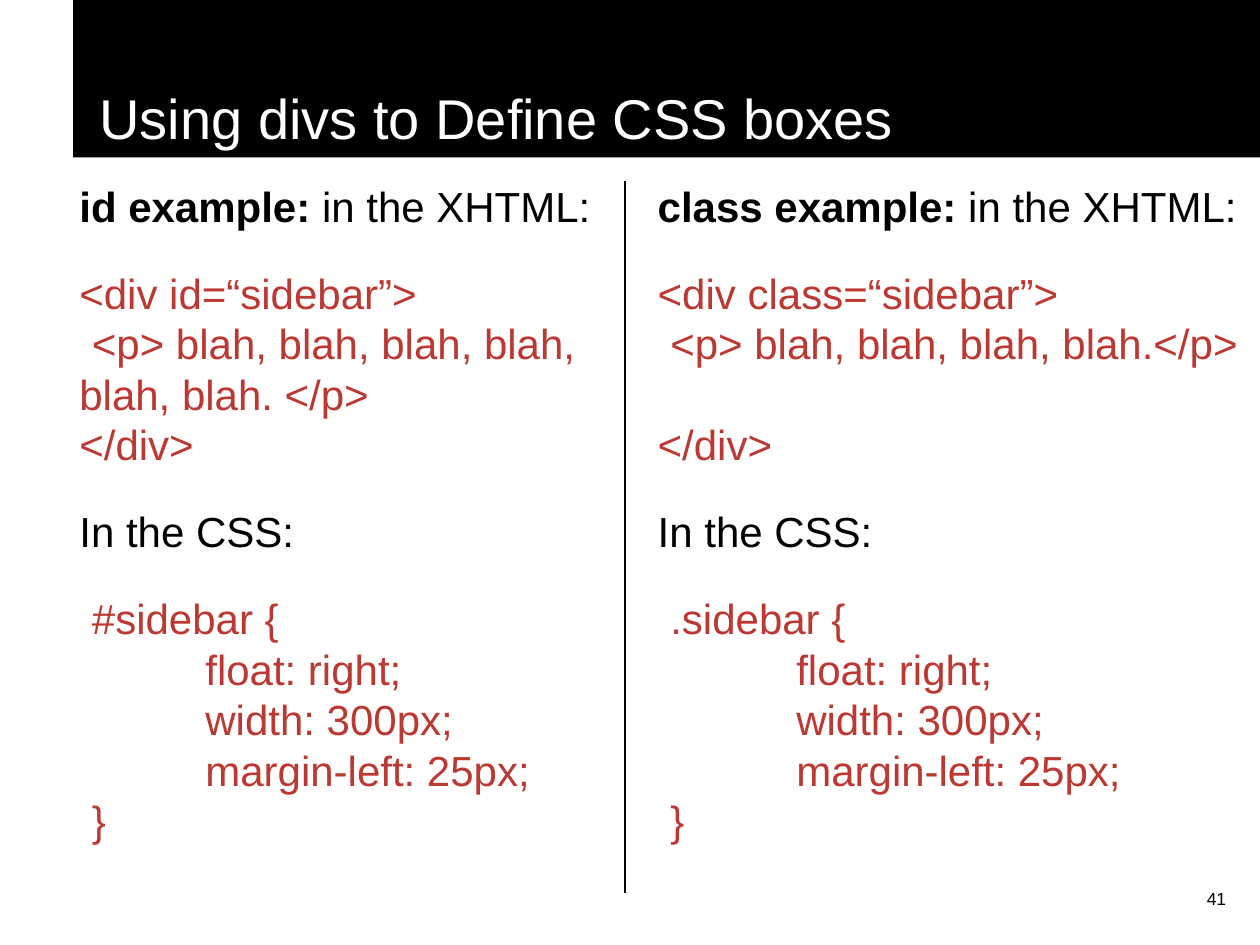
from lxml import etree
from pptx import Presentation
from pptx.dml.color import RGBColor
from pptx.enum.shapes import MSO_CONNECTOR
from pptx.enum.text import MSO_ANCHOR, MSO_AUTO_SIZE, PP_ALIGN
from pptx.oxml.ns import qn
from pptx.util import Inches, Pt

STRAIGHT = MSO_CONNECTOR.STRAIGHT
TOP, BOTTOM = MSO_ANCHOR.TOP, MSO_ANCHOR.BOTTOM
FIXED = MSO_AUTO_SIZE.NONE
LEFT, RIGHT = PP_ALIGN.LEFT, PP_ALIGN.RIGHT
COLORS = {"ink": "000000", "paper": "FFFFFF", "code": "BB3932"}
RULES = "float: right;", "width: 300px;", "margin-left: 25px;"
MARGIN, STEP, SECTION_GAP, LINE_HEIGHT = 0.1, 0.1, 21, 28.8


def write(paragraph, text, size=24, color="ink", bold=False, font="Arial"):
    """Add one formatted run to a paragraph."""
    run = paragraph.add_run()
    run.text = text
    run.font.name, run.font.size, run.font.bold = font, Pt(size), bold
    run.font.color.rgb = RGBColor.from_string(COLORS[color])


class SlideBuilder:
    """Style and current slide, measured on a grid of 10 columns by 7.5 rows."""

    def __init__(self, deck, layout):
        self.slide = deck.slides.add_slide(deck.slide_layouts[layout])
        self.column, self.row = deck.slide_width / 10, deck.slide_height / 7.5

    def grid(self, *lengths):
        """Turn alternating columns and rows into slide lengths."""
        return [round(length * (self.row if i % 2 else self.column))
                for i, length in enumerate(lengths)]

    def place(self, shape, area, anchor):
        """Move a text holder and return its text frame."""
        shape.left, shape.top, shape.width, shape.height = self.grid(*area)
        frame = shape.text_frame
        frame.word_wrap, frame.auto_size, frame.vertical_anchor = True, FIXED, anchor
        return frame

    def indent(self, paragraph, margin, first=0, gap=0):
        """Set margin, first-line indent and the space above, without a bullet."""
        paragraph.alignment = LEFT
        paragraph.line_spacing = 1.0
        paragraph.space_before, paragraph.space_after = Pt(gap), Pt(0)
        properties = paragraph._p.get_or_add_pPr()
        properties.set("marL", str(Inches(margin)))
        properties.set("indent", str(Inches(first)))
        etree.SubElement(properties, qn("a:buNone"))

    def title(self, text, area):
        """Fill the title placeholder as a dark banner."""
        banner = self.slide.shapes.title
        banner.fill.solid()
        banner.fill.fore_color.rgb = RGBColor.from_string(COLORS["ink"])
        paragraph = self.place(banner, area, BOTTOM).paragraphs[0]
        self.indent(paragraph, 0.11)
        write(paragraph, text, size=32, color="paper")

    def example(self, index, area, kind, content, closing_gap, selector, rule_indent):
        """Fill a body placeholder with one markup and CSS example."""
        frame = self.place(self.slide.placeholders[index], area, TOP)
        heading = frame.paragraphs[0]
        self.indent(heading, MARGIN)
        write(heading, f"{kind} example:", bold=True)
        write(heading, " in the XHTML:")
        lines = [
            (f"<div {kind}=“sidebar”>", "code", 0, SECTION_GAP),
            (content, "code", STEP, 0),
            ("</div>", "code", 0, closing_gap),
            ("In the CSS:", "ink", 0, SECTION_GAP),
            (f"{selector} {{", "code", STEP, SECTION_GAP),
            *((rule, "code", rule_indent, 0) for rule in RULES),
            ("}", "code", STEP, 0),
        ]
        for text, color, first, gap in lines:
            paragraph = frame.add_paragraph()
            self.indent(paragraph, MARGIN, first, gap)
            write(paragraph, text, color=color)

    def divider(self, *ends):
        """Draw a thin line between two grid points."""
        rule = self.slide.shapes.add_connector(STRAIGHT, *self.grid(*ends))
        rule.line.color.rgb = RGBColor.from_string(COLORS["ink"])
        rule.line.width = Pt(0.75)
        etree.SubElement(rule._element.spPr, qn("a:effectLst"))

    def page_number(self, number, area):
        """Write the page number at the right of its area."""
        box = self.slide.shapes.add_textbox(*self.grid(*area))
        paragraph = self.place(box, area, TOP).paragraphs[0]
        paragraph.alignment = RIGHT
        write(paragraph, number, size=10)


def main():
    """Build and save the slide."""
    deck = Presentation()
    deck.slide_width, deck.slide_height = Inches(10), Inches(7.5)
    page = SlideBuilder(deck, 3)
    page.title("Using divs to Define CSS boxes", (0.58, 0, 9.42, 1.25))
    page.example(1, (0.43, 1.38, 4.54, 6.09), "id",
                 "<p> blah, blah, blah, blah, blah, blah. </p>", 0, "#sidebar", 1)
    page.example(2, (5.02, 1.38, 4.93, 6.07), "class",
                 "<p> blah, blah, blah, blah.</p>", LINE_HEIGHT, ".sidebar", 1.1)
    page.divider(4.96, 1.44, 4.96, 7.09)
    page.page_number("41", (7.75, 7, 2.08, 0.5))
    deck.save("out.pptx")


if __name__ == "__main__":
    main()
